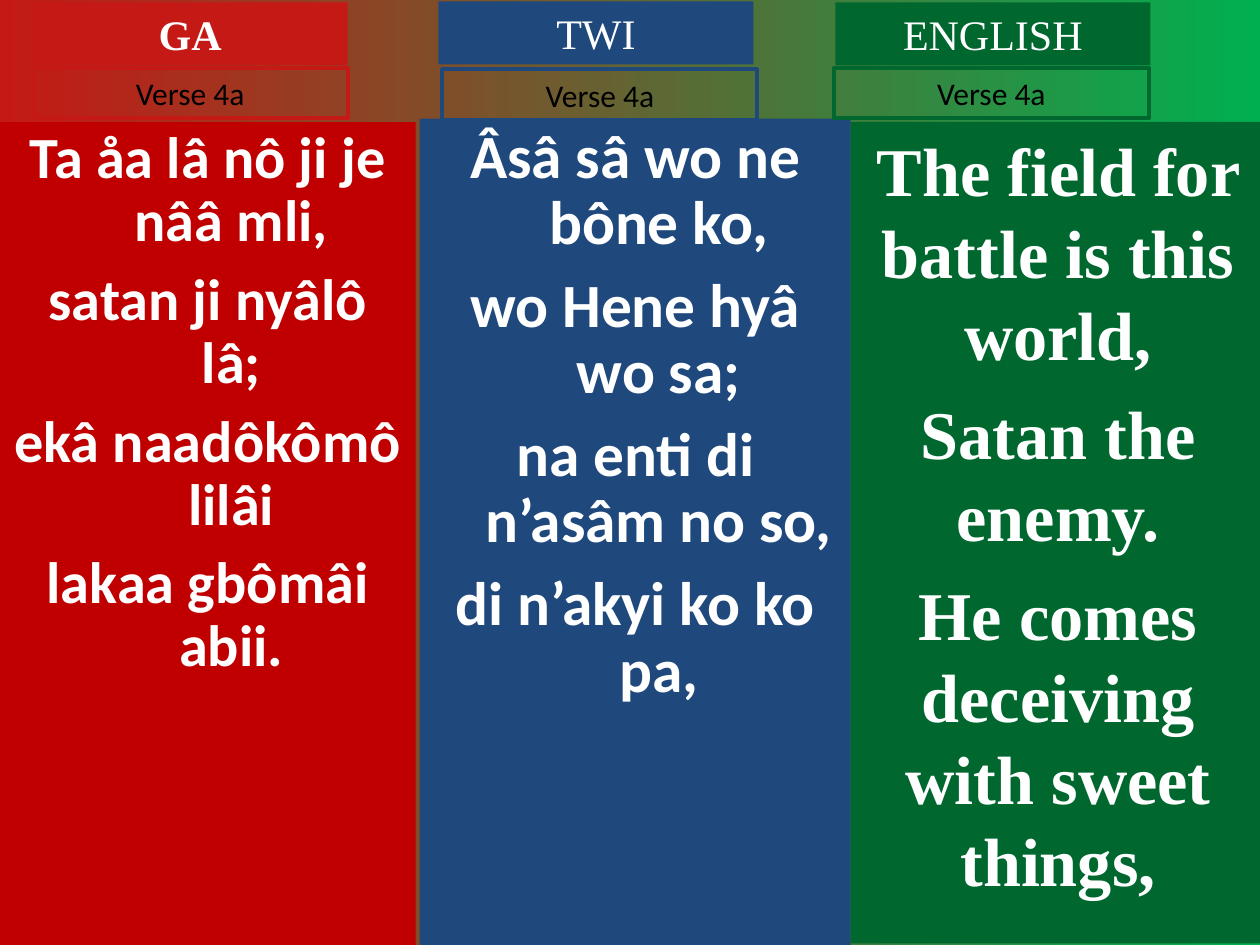
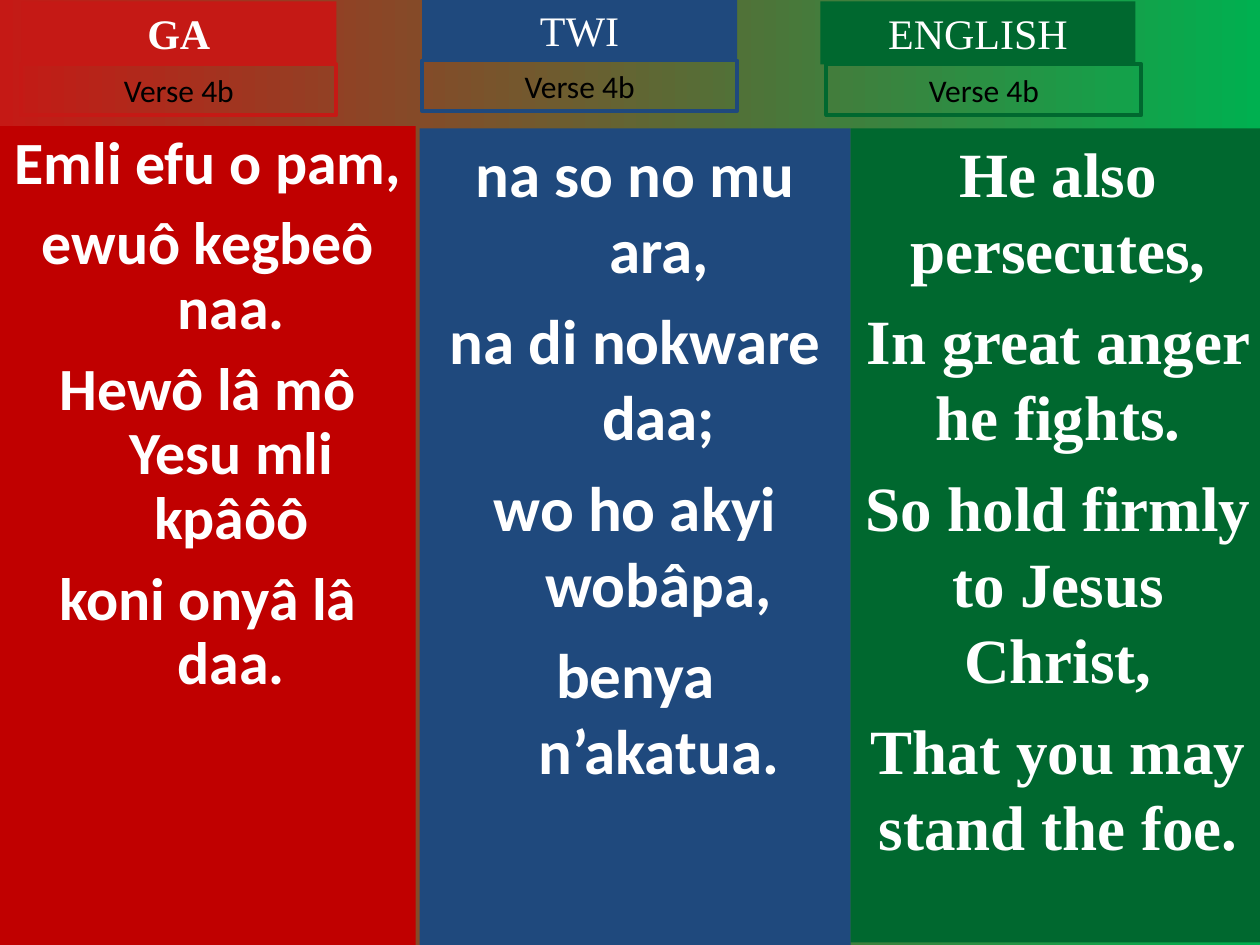
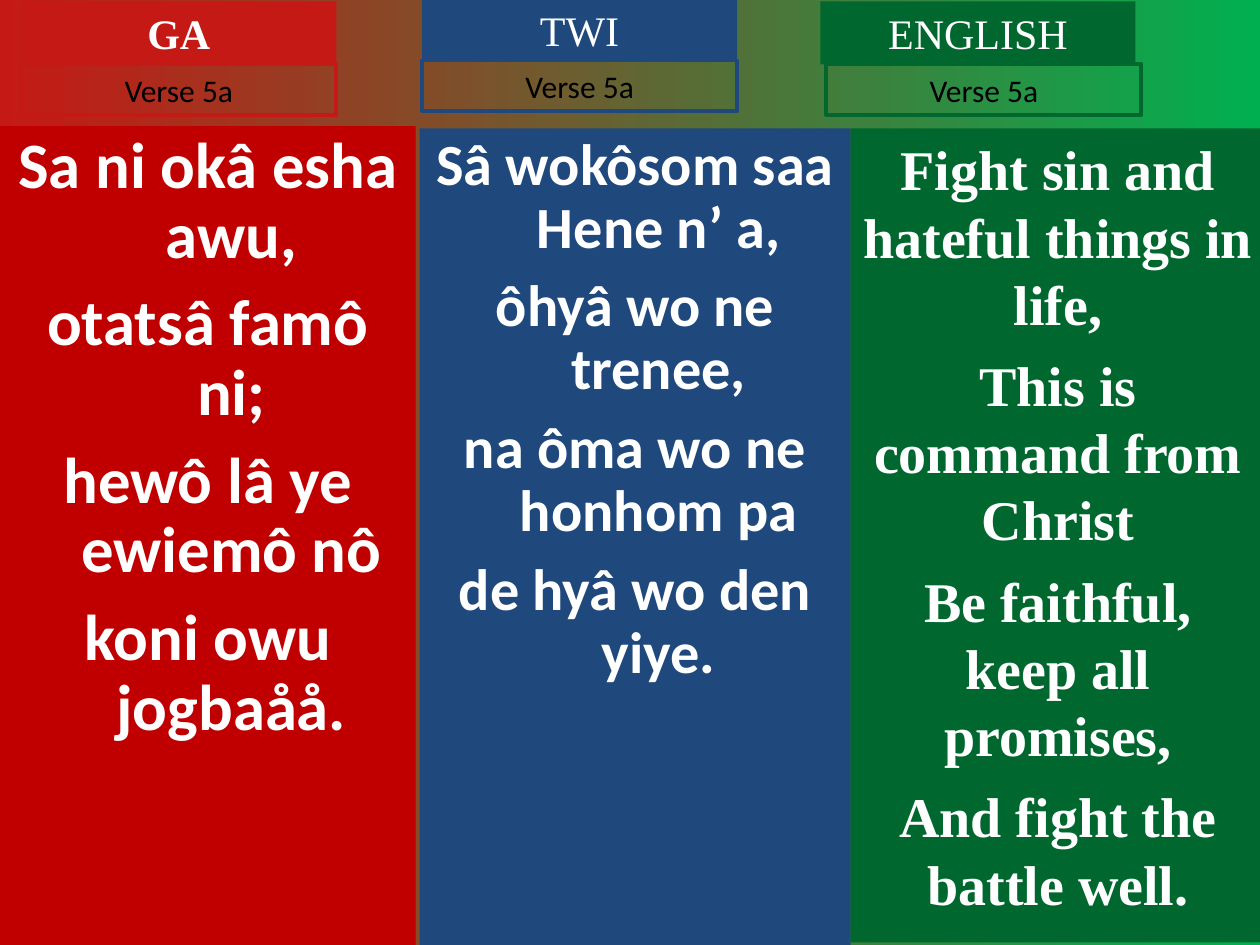
import pptx
import pptx.util
import pptx.dml.color
import pptx.enum.shapes
import pptx.enum.text
import lxml.etree
from pptx.oxml.ns import qn

Cm = pptx.util.Cm
Pt = pptx.util.Pt
RGB = pptx.dml.color.RGBColor
RED = RGB(0xC5, 0x19, 0x15)
DARK = RGB(0xC0, 0x00, 0x00)
BLUE = RGB(0x1F, 0x49, 0x7D)
GREEN = RGB(0x00, 0x68, 0x2F)
LIME = RGB(0x00, 0xB0, 0x50)
WHITE = RGB(0xFF, 0xFF, 0xFF)
BLACK = RGB(0x00, 0x00, 0x00)
SANS = "Calibri"
SERIF = "Times New Roman"

TONGUES = [
    {"name": "GA", "tint": RED, "fill": DARK, "font": SANS,
     "bold": True, "left": 0, "wide": 8.38, "hang": 0.95},
    {"name": "TWI", "tint": BLUE, "fill": BLUE, "font": SANS,
     "bold": False, "left": 8.46, "wide": 8.69, "hang": 0.95},
    {"name": "ENGLISH", "tint": GREEN, "fill": GREEN, "font": SERIF,
     "bold": False, "left": 17.15, "wide": 8.36, "hang": 0},
]

FIRST = {"heads": [(0.66, 0.05), (8.84, 0.03), (16.84, 0.05)],
         "tags": [(0.66, 1.37), (8.92, 1.4), (16.81, 1.37)],
         "tops": [2.46, 2.39, 2.46], "ends": [19.05, 19.05, 19.02]}
LATER = {"heads": [(0.43, 0.03), (8.51, -0.03), (16.54, 0.03)],
         "tags": [(0.43, 1.3), (8.51, 1.22), (16.66, 1.3)],
         "tops": [2.54, 2.59, 2.59], "ends": [19.05, 19.05, 19.0]}

VERSES = [
    ("Verse 4a", FIRST, [
        (33.3, 9, 0.9, ["Ta åa lâ nô ji je nââ mli,", "satan ji nyâlô lâ;",
                        "ekâ naadôkômô lilâi", "lakaa gbômâi abii."]),
        (35.1, 9.5, 0.9, ["Âsâ sâ wo ne bône ko,", "wo Hene hyâ wo sa;",
                          "na enti di n’asâm no so,", "di n’akyi ko ko pa,"]),
        (39, 9.8, 1.0, ["The field for battle is this world,",
                        "Satan the enemy.",
                        "He comes deceiving with sweet things,"]),
    ]),
    ("Verse 4b", LATER, [
        (34.2, 9.2, 0.9, ["Emli efu o pam,", "ewuô kegbeô naa.",
                          "Hewô lâ mô Yesu mli kpâôô", "koni onyâ lâ daa."]),
        (36, 9, 1.0, ["na so no mu ara,", "na di nokware daa;",
                      "wo ho akyi wobâpa,", "benya n’akatua."]),
        (36, 9, 1.0, ["He also persecutes,", "In great anger he fights.",
                      "So hold firmly to Jesus Christ,",
                      "That you may stand the foe."]),
    ]),
    ("Verse 5a", LATER, [
        (37, 10, 0.9, ["Sa ni okâ esha awu,", "otatsâ famô ni;",
                       "hewô lâ ye ewiemô nô", "koni owu jogbaåå."]),
        (33.3, 9, 0.9, ["Sâ wokôsom saa Hene n’ a,", "ôhyâ wo ne trenee,",
                        "na ôma wo ne honhom pa", "de hyâ wo den yiye."]),
        (32, 8, 1.0, ["Fight sin and hateful things in life,",
                      "This is command from Christ",
                      "Be faithful, keep all promises,",
                      "And fight the battle well."]),
    ]),
]


def assign(item, values):
    for key, value in values.items():
        setattr(item, key, value)


def place(slide, box, holder=None):
    shape = holder
    if shape is None:
        kind = pptx.enum.shapes.MSO_SHAPE.RECTANGLE
        shape = slide.shapes.add_shape(kind, 0, 0, 0, 0)
        shape.shadow.inherit = False
    sides = ("left", "top", "width", "height")
    assign(shape, dict(zip(sides, map(Cm, box))))
    return shape


def paint(shape, fill=None, edge=None):
    if fill is None:
        shape.fill.background()
    else:
        shape.fill.solid()
        shape.fill.fore_color.rgb = fill
    if edge is None:
        shape.line.fill.background()
    else:
        shape.line.color.rgb = edge
        shape.line.width = Pt(2.25)


def write(shape, lines, look, color, gap=0, pitch=1.0, hang=0):
    frame = shape.text_frame
    assign(frame, {
        "text": "\n".join(lines),
        "word_wrap": True,
        "auto_size": pptx.enum.text.MSO_AUTO_SIZE.NONE,
        "vertical_anchor": pptx.enum.text.MSO_ANCHOR.TOP,
        "margin_left": Cm(0.25), "margin_right": Cm(0.25),
        "margin_top": Cm(0.13), "margin_bottom": Cm(0.13),
    })
    for row, para in enumerate(frame.paragraphs):
        props = para._p.get_or_add_pPr()
        props.set("marL", str(Cm(hang)))
        props.set("indent", str(-Cm(hang)))
        lxml.etree.SubElement(props, qn("a:buNone"))
        assign(para, {
            "alignment": pptx.enum.text.PP_ALIGN.CENTER,
            "line_spacing": pitch,
            "space_before": Pt(gap if row else 0),
        })
        for run in para.runs:
            assign(run.font, look)
            run.font.color.rgb = color


def build(deck, verse, spots, parts):
    slide = deck.slides.add_slide(deck.slide_layouts[3])
    holds = slide.placeholders
    bodies = [holds[1], holds[2], None]
    titles = [slide.shapes.title, None, None]
    for num, (tongue, part) in enumerate(zip(TONGUES, parts)):
        size, gap, pitch, lines = part
        top = spots["tops"][num]
        body = place(slide, (tongue["left"], top, tongue["wide"],
                             spots["ends"][num] - top), bodies[num])
        paint(body, tongue["fill"])
        write(body, lines,
              {"name": tongue["font"], "size": Pt(size), "bold": True},
              WHITE, gap, pitch, tongue["hang"])

        head = place(slide, (*spots["heads"][num], 6.35, 1.27), titles[num])
        paint(head, tongue["tint"])
        write(head, [tongue["name"]],
              {"name": SERIF, "size": Pt(24), "bold": tongue["bold"]}, WHITE)

        tag = place(slide, (*spots["tags"][num], 6.35, 1.02))
        paint(tag, edge=tongue["tint"])
        write(tag, [verse],
              {"name": SANS, "size": Pt(18), "bold": False}, BLACK)

    for hold in list(slide.placeholders):
        if not hold.text_frame.text:
            hold._element.getparent().remove(hold._element)


def main():
    deck = pptx.Presentation()
    assign(deck, {"slide_width": Cm(25.4), "slide_height": Cm(19.05)})
    fill = deck.slide_master.background.fill
    fill.gradient()
    fill.gradient_angle = 0
    for stop, color in zip(fill.gradient_stops, (RED, LIME)):
        stop.color.rgb = color
    for verse, spots, parts in VERSES:
        build(deck, verse, spots, parts)
    deck.save("out.pptx")


if __name__ == "__main__":
    main()
